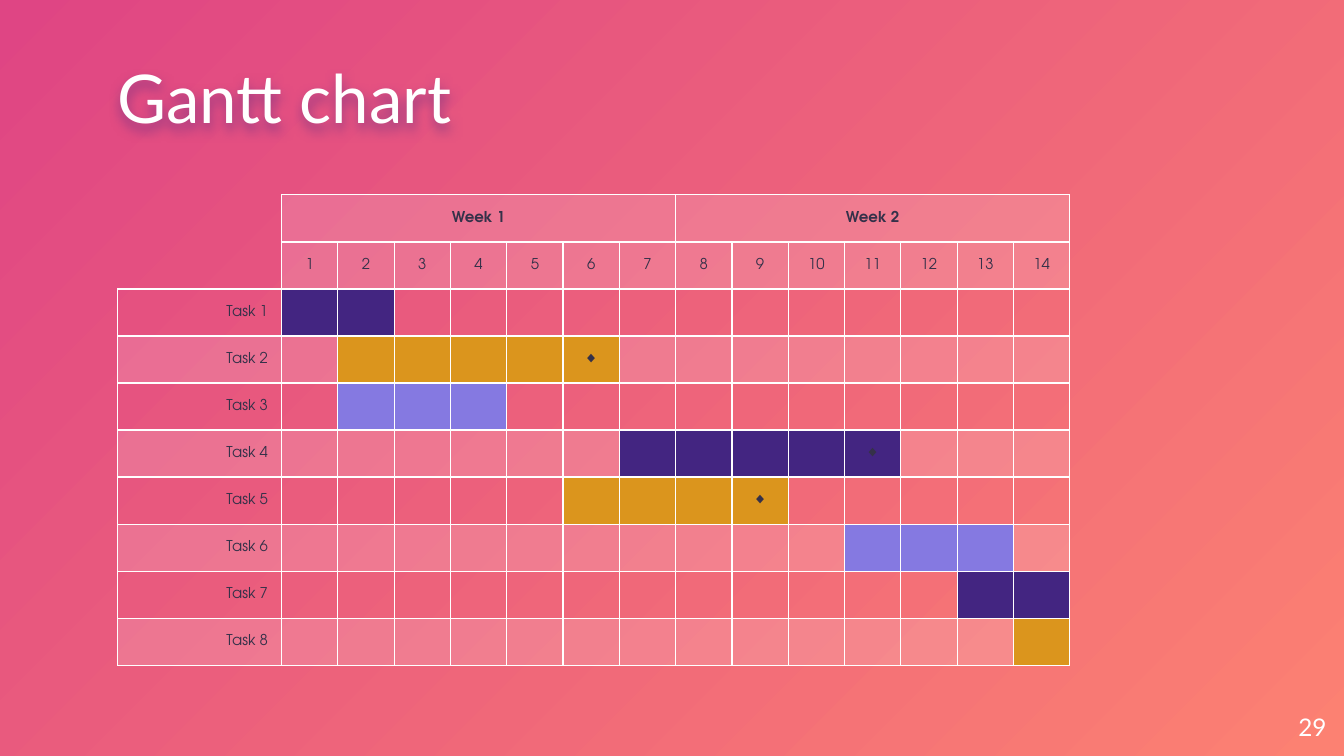
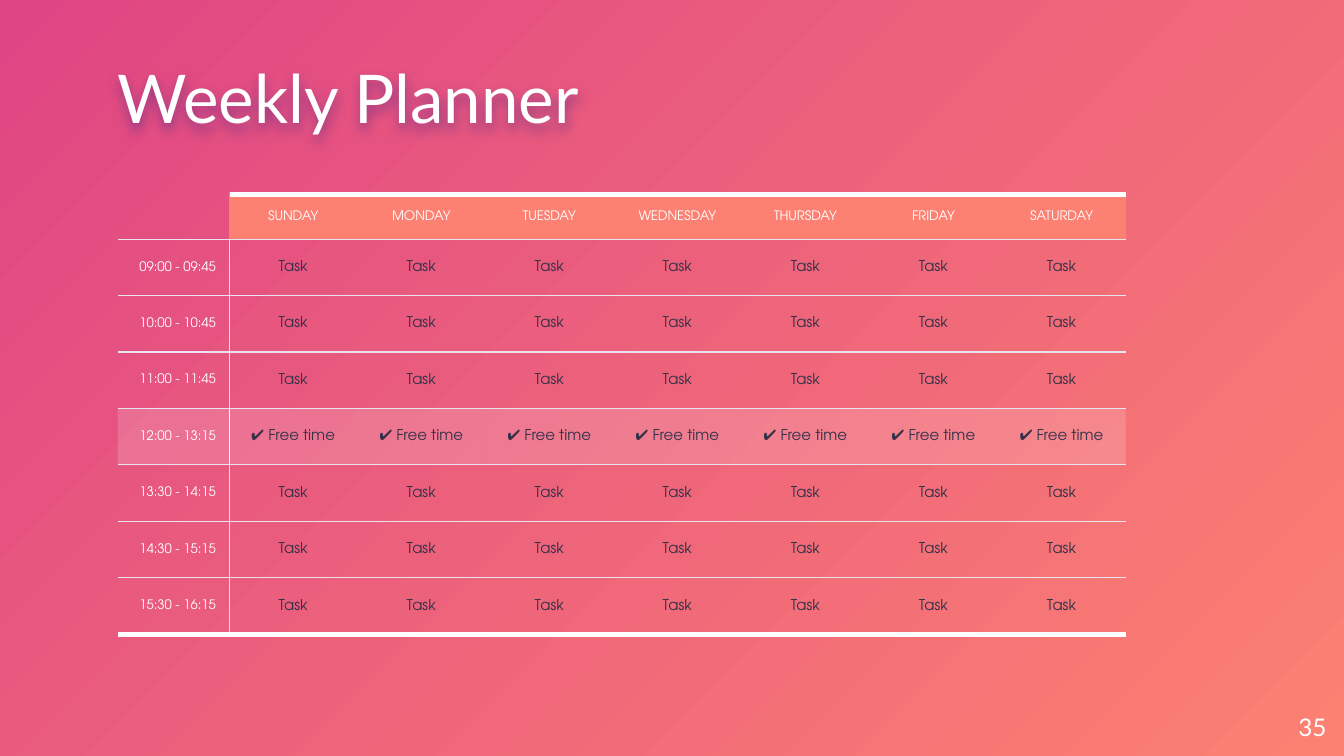
import pptx
import pptx.dml.color
import pptx.enum.text
import pptx.oxml
import pptx.oxml.ns
import pptx.util
from lxml import etree

TITLE_FONT, TABLE_FONT = "Lato", "TeX Gyre Adventor"
COLORS = {
    "white": "FFFFFF", "ink": "353149", "coral": "FC8172", "pink": "DF4584",
    "purple": "432581", "gold": "DB951D", "lilac": "8579E1", "rule": "E6E5EF",
}
VEIL = ("white", 16)  # colour and opacity in percent
THIN, THICK = 0.75, 3
NO_STYLE = "{2D5ABB26-0587-4C30-8999-92F81FD0307C}"

WIDTH = 10
HEIGHT = WIDTH * 9 / 16
LEFT, TABLE_TOP = 7 / 8, 1.45

# Task name, first day, last day, colour, whether it ends in a milestone
TASKS = [
    ("Task 1", 1, 2, "purple", False),
    ("Task 2", 2, 6, "gold", True),
    ("Task 3", 2, 4, "lilac", False),
    ("Task 4", 7, 11, "purple", True),
    ("Task 5", 6, 9, "gold", True),
    ("Task 6", 11, 13, "lilac", False),
    ("Task 7", 13, 14, "purple", False),
    ("Task 8", 14, 14, "gold", False),
]
WEEKS, WEEK_DAYS = ["Week 1", "Week 2"], 7

DAYS = ["SUNDAY", "MONDAY", "TUESDAY", "WEDNESDAY", "THURSDAY", "FRIDAY", "SATURDAY"]
HOURS = [
    ("09:00 - 09:45", "Task"),
    ("10:00 - 10:45", "Task"),
    ("11:00 - 11:45", "Task"),
    ("12:00 - 13:15", "✔ Free time"),
    ("13:30 - 14:15", "Task"),
    ("14:30 - 15:15", "Task"),
    ("15:30 - 16:15", "Task"),
]

inch = pptx.util.Inches
qn = pptx.oxml.ns.qn
ALIGN = pptx.enum.text.PP_ALIGN
ANCHOR = pptx.enum.text.MSO_ANCHOR


def rgb(name):
    return pptx.dml.color.RGBColor.from_string(COLORS[name])


def xml(text):
    return pptx.oxml.parse_xml(text.replace(">", f" {pptx.oxml.ns.nsdecls('a')}>", 1))


def style(p, font, size, color, align=ALIGN.LEFT, bold=False):
    p.alignment = align
    p.font.name, p.font.size, p.font.bold = font, pptx.util.Pt(size), bold
    p.font.color.rgb = rgb(color)


def plain_frame(shape, anchor):
    tf = shape.text_frame
    tf.margin_left = tf.margin_right = tf.margin_top = tf.margin_bottom = 0
    tf.word_wrap, tf.vertical_anchor = True, anchor
    tf.auto_size = pptx.enum.text.MSO_AUTO_SIZE.NONE
    return tf


def paint_master(master):
    """Give every slide the gradient that spreads from the lower right corner."""
    fill = master.background.fill
    fill.gradient()
    for stop, name in zip(fill.gradient_stops, ("coral", "pink")):
        stop.color.rgb = rgb(name)
    grad = master._element.find(".//" + qn("p:bg")).find(".//" + qn("a:gradFill"))
    grad.remove(grad.find(qn("a:lin")))
    grad.append(xml('<a:path path="circle"><a:fillToRect l="100000" t="100000"/></a:path>'))


def add_slide(prs, title, number):
    s = prs.slides.add_slide(prs.slide_layouts[5])
    sp = s.shapes.title
    sp.left, sp.top, sp.width, sp.height = map(inch, (LEFT, 0.41, 8.64, 0.62))
    tf = plain_frame(sp, ANCHOR.BOTTOM)
    tf.text = title
    tf.paragraphs[0].line_spacing = 0.9
    style(tf.paragraphs[0], TITLE_FONT, 36, "white")
    sp._element.spPr.append(xml(
        '<a:effectLst><a:outerShdw blurRad="76200" dist="38100" dir="5400000">'
        f'<a:srgbClr val="{COLORS["purple"]}"><a:alpha val="50000"/></a:srgbClr>'
        '</a:outerShdw></a:effectLst>'))

    box = s.shapes.add_textbox(inch(9.27), inch(5.19), inch(0.6), inch(0.43))
    tf = plain_frame(box, ANCHOR.MIDDLE)
    tf.text = str(number)
    style(tf.paragraphs[0], TITLE_FONT, 13, "white", ALIGN.RIGHT)
    return s


def add_table(s, widths, heights):
    frame = s.shapes.add_table(len(heights), len(widths), inch(LEFT), inch(TABLE_TOP),
                               inch(sum(widths)), inch(sum(heights)))
    table = frame.table
    table.first_row = table.horz_banding = False
    table._tbl.tblPr.find(qn("a:tableStyleId")).text = NO_STYLE
    for col, width in zip(table.columns, widths):
        col.width = inch(width)
    for row, height in zip(table.rows, heights):
        row.height = inch(height)
    return table


def add_border(tcPr, side, border):
    if border is None:
        tcPr.append(xml(f'<a:ln{side}><a:noFill/></a:ln{side}>'))
        return
    color, width = border
    tcPr.append(xml(f'<a:ln{side} w="{pptx.util.Pt(width)}"><a:solidFill>'
                    f'<a:srgbClr val="{COLORS[color]}"/></a:solidFill></a:ln{side}>'))


def set_cell(cell, text="", borders=None, fill=None, pad=0.05, **font):
    """Borders map a side (L, R, T, B) to a colour and a width, or to None for no line;
    fill is a colour and an opacity."""
    tcPr = cell._tc.get_or_add_tcPr()
    for side in "LRTB":
        if side in (borders or {}):
            add_border(tcPr, side, borders[side])
    if fill:
        cell.fill.solid()
        cell.fill.fore_color.rgb = rgb(fill[0])
        if fill[1] < 100:
            color = tcPr.find(qn("a:solidFill"))[0]
            etree.SubElement(color, qn("a:alpha")).set("val", str(fill[1] * 1000))
    else:
        cell.fill.background()
    cell.vertical_anchor = ANCHOR.MIDDLE
    cell.margin_left = cell.margin_right = inch(0.1)
    cell.margin_top = cell.margin_bottom = inch(pad if text else 0)
    cell.text = text
    style(cell.text_frame.paragraphs[0], TABLE_FONT, **font)


def gantt_slide(prs):
    s = add_slide(prs, "Gantt chart", 29)
    days = WEEK_DAYS * len(WEEKS)
    label_width, total_width = 1.22, 7.09
    table = add_table(s, [label_width] + [(total_width - label_width) / days] * days,
                      [0.35] * (2 + len(TASKS)))
    line = ("white", THIN)
    grid = dict.fromkeys("LRTB", line)
    text = {"size": 8, "color": "ink"}

    set_cell(table.cell(0, 0), borders={"R": line}, **text)
    set_cell(table.cell(1, 0), borders={"R": line, "B": line}, **text)
    for day in range(1, days + 1):
        week, offset = divmod(day - 1, WEEK_DAYS)
        set_cell(table.cell(0, day), "" if offset else WEEKS[week], grid, VEIL,
                 align=ALIGN.CENTER, bold=True, **text)
        set_cell(table.cell(1, day), str(day), grid, VEIL, align=ALIGN.CENTER, **text)
    for first in range(1, days, WEEK_DAYS):
        table.cell(0, first).merge(table.cell(0, first + WEEK_DAYS - 1))

    for i, (name, start, end, color, milestone) in enumerate(TASKS):
        band = VEIL if i % 2 else None
        set_cell(table.cell(i + 2, 0), name, grid, band, align=ALIGN.RIGHT, **text)
        for day in range(1, days + 1):
            set_cell(table.cell(i + 2, day), "◆" if milestone and day == end else "", grid,
                     (color, 100) if start <= day <= end else band,
                     align=ALIGN.CENTER, **text)


def planner_slide(prs):
    s = add_slide(prs, "Weekly Planner", 35)
    hour_width, total_width = 0.83, 7.5
    table = add_table(s, [hour_width] + [(total_width - hour_width) / len(DAYS)] * len(DAYS),
                      [0.33] + [0.42] * len(HOURS))
    rule, edge = ("rule", THIN), ("white", THICK)
    label = {"size": 7, "color": "white", "pad": 0.1}
    entry = {"size": 8, "color": "ink", "pad": 0.1, "align": ALIGN.CENTER}

    set_cell(table.cell(0, 0), borders={"R": ("coral", THIN), "B": rule}, **label)
    for col, day in enumerate(DAYS, 1):
        borders = {"T": edge, "B": rule}
        if col == 1:
            borders.update(L=("coral", THIN), R=None)
        set_cell(table.cell(0, col), day, borders, ("coral", 100), align=ALIGN.CENTER, **label)

    for row, (hours, activity) in enumerate(HOURS, 1):
        free = activity != "Task"
        fill = VEIL if free else None
        divider = ("white", THIN) if free else rule
        borders = {"T": rule, "B": edge if row == len(HOURS) else rule}
        set_cell(table.cell(row, 0), hours, {**borders, "R": divider}, fill,
                 align=ALIGN.RIGHT, **label)
        for col in range(1, len(DAYS) + 1):
            sides = {**borders, "L": divider, "R": None} if col == 1 else borders
            set_cell(table.cell(row, col), activity, sides, fill, **entry)


def main():
    prs = pptx.Presentation()
    prs.slide_width, prs.slide_height = inch(WIDTH), inch(HEIGHT)
    paint_master(prs.slide_master)
    gantt_slide(prs)
    planner_slide(prs)
    prs.save("out.pptx")


if __name__ == "__main__":
    main()
